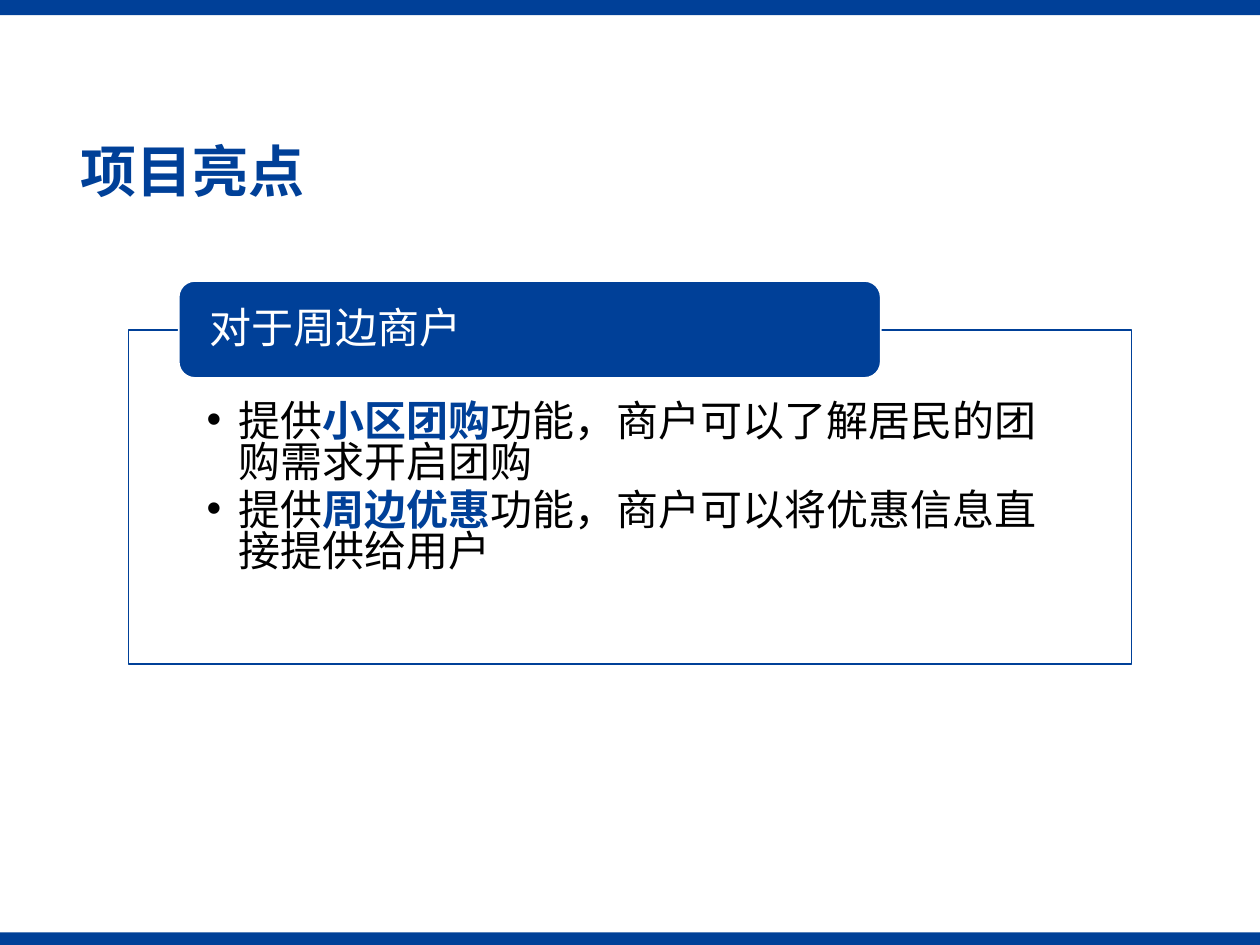
from lxml import etree
from pptx import Presentation
from pptx.dml.color import RGBColor
from pptx.enum.shapes import MSO_SHAPE
from pptx.enum.text import MSO_ANCHOR, PP_ALIGN
from pptx.oxml.ns import qn
from pptx.util import Inches, Pt

RECTANGLE = MSO_SHAPE.RECTANGLE
ROUNDED = MSO_SHAPE.ROUNDED_RECTANGLE
TOP, MIDDLE = MSO_ANCHOR.TOP, MSO_ANCHOR.MIDDLE
LEFT = PP_ALIGN.LEFT

FONT = "Noto Sans CJK SC"
BLUE, WHITE, BLACK = "004098", "FFFFFF", "000000"
SLIDE_WIDTH, SLIDE_HEIGHT = 10, 7.5

HIGHLIGHTS = [
    ("提供", "小区团购", "功能，商户可以了解居民的团购需求开启团购"),
    ("提供", "周边优惠", "功能，商户可以将优惠信息直接提供给用户"),
]


def color(hex_value):
    return RGBColor.from_string(hex_value)


def add_box(slide, kind, box, fill, line=None):
    shape = slide.shapes.add_shape(kind, *map(Inches, box))
    shape.shadow.inherit = False
    shape.fill.solid()
    shape.fill.fore_color.rgb = color(fill)
    if line:
        shape.line.color.rgb = color(line)
        shape.line.width = Pt(1)
    else:
        shape.line.fill.background()
    return shape


def set_frame(shape, anchor, insets):
    """Wrap the text and set insets as left, top, right, bottom in inches."""
    left, top, right, bottom = map(Inches, insets)
    formats = {
        "word_wrap": True, "vertical_anchor": anchor,
        "margin_left": left, "margin_top": top,
        "margin_right": right, "margin_bottom": bottom,
    }
    for name, value in formats.items():
        setattr(shape.text_frame, name, value)
    return shape.text_frame


def format_paragraph(paragraph, line_spacing, space_after=0):
    formats = {
        "alignment": LEFT, "line_spacing": line_spacing,
        "space_before": Pt(0), "space_after": Pt(space_after),
    }
    for name, value in formats.items():
        setattr(paragraph, name, value)


def add_run(paragraph, text, size, text_color, bold=False):
    run = paragraph.add_run()
    run.text = text
    for name, value in {"size": Pt(size), "bold": bold, "name": FONT}.items():
        setattr(run.font, name, value)
    run.font.color.rgb = color(text_color)
    east_asian = etree.SubElement(run.font._element, qn("a:ea"))
    east_asian.set("typeface", FONT)


def add_bullet(paragraph, indent):
    properties = paragraph._p.get_or_add_pPr()
    properties.set("marL", str(Inches(indent)))
    properties.set("indent", str(-Inches(indent)))
    etree.SubElement(properties, qn("a:buFont")).set("typeface", "Arial")
    etree.SubElement(properties, qn("a:buChar")).set("char", "•")


def set_opacity(shape, percent):
    fill_color = shape._element.spPr.find(qn("a:solidFill"))[0]
    etree.SubElement(fill_color, qn("a:alpha")).set("val", str(percent * 1000))


def add_edge_bars(slide, top_height, bottom_height):
    add_box(slide, RECTANGLE, (0, 0, SLIDE_WIDTH, top_height), BLUE)
    bottom = SLIDE_HEIGHT - bottom_height
    add_box(slide, RECTANGLE, (0, bottom, SLIDE_WIDTH, bottom_height), BLUE)


def add_title(slide, box, text):
    title = slide.shapes.add_textbox(*map(Inches, box))
    frame = set_frame(title, MIDDLE, (0.1, 0.05, 0.1, 0.05))
    paragraph = frame.paragraphs[0]
    format_paragraph(paragraph, 0.9)
    add_run(paragraph, text, 32, BLUE, bold=True)


def add_panel(slide, box, heading, highlights):
    """Draw a framed bullet list with a heading tab across its top edge."""
    left, top, width, _ = box
    panel = add_box(slide, RECTANGLE, box, WHITE, BLUE)
    set_opacity(panel, 90)
    frame = set_frame(panel, TOP, (0.62, 0.58, 0.62, 0.19))
    for index, (start, keyword, rest) in enumerate(highlights):
        paragraph = frame.add_paragraph() if index else frame.paragraphs[0]
        format_paragraph(paragraph, 0.82, 3.6)
        add_bullet(paragraph, 0.25)
        add_run(paragraph, start, 24, BLACK)
        add_run(paragraph, keyword, 24, BLUE, bold=True)
        add_run(paragraph, rest, 24, BLACK)

    tab_box = (left + width * 0.05, top - 0.39, width * 0.7, 0.77)
    tab = add_box(slide, ROUNDED, tab_box, BLUE, WHITE)
    paragraph = set_frame(tab, MIDDLE, (0.21, 0, 0.21, 0)).paragraphs[0]
    format_paragraph(paragraph, 0.9)
    add_run(paragraph, heading, 24, WHITE)


def main():
    presentation = Presentation()
    presentation.slide_width = Inches(SLIDE_WIDTH)
    presentation.slide_height = Inches(SLIDE_HEIGHT)
    slide = presentation.slides.add_slide(presentation.slide_layouts[6])
    add_edge_bars(slide, 0.12, 0.1)
    add_title(slide, (0.54, 1.07, 9.16, 0.63), "项目亮点")
    add_panel(slide, (1.02, 2.62, 7.96, 2.65), "对于周边商户", HIGHLIGHTS)
    presentation.save("out.pptx")


if __name__ == "__main__":
    main()
